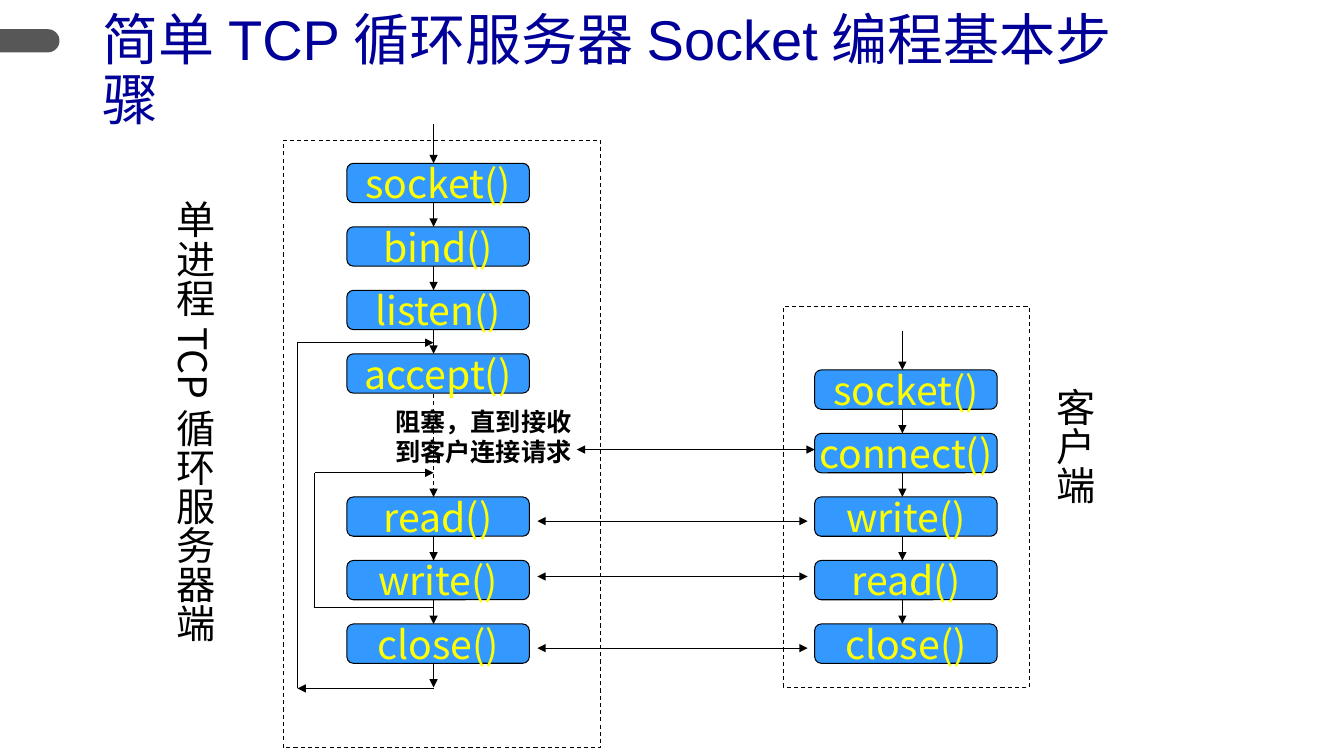
import math

import lxml.etree
import pptx
import pptx.dml.color
import pptx.enum.dml
import pptx.enum.shapes
import pptx.enum.text
import pptx.oxml.ns
import pptx.util

Inches = pptx.util.Inches
qn = pptx.oxml.ns.qn
color = pptx.dml.color.RGBColor.from_string
MSO_SHAPE = pptx.enum.shapes.MSO_SHAPE
PP_ALIGN = pptx.enum.text.PP_ALIGN
MSO_ANCHOR = pptx.enum.text.MSO_ANCHOR
DASH = pptx.enum.dml.MSO_LINE.DASH
CJK_FONT = "Noto Sans CJK SC"


def write_text(shape, text, size=28, font=CJK_FONT, fill="000000", bold=False,
               align=PP_ALIGN.LEFT, anchor=MSO_ANCHOR.TOP, wrap=False, spacing=None, vertical=False):
    frame = shape.text_frame
    frame.text = text
    frame.word_wrap = wrap
    frame.vertical_anchor = anchor
    frame.auto_size = pptx.enum.text.MSO_AUTO_SIZE.NONE
    if vertical:
        frame._txBody.bodyPr.set("vert", "eaVert")
    for paragraph in frame.paragraphs:
        paragraph.alignment = align
        paragraph.line_spacing = spacing
        for run in paragraph.runs:
            run.font.size = pptx.util.Pt(size)
            run.font.name = font
            run.font.bold = bold
            run.font.color.rgb = color(fill)
            east_asian = lxml.etree.SubElement(run._r.get_or_add_rPr(), qn("a:ea"))
            east_asian.set("typeface", CJK_FONT)


def add_line(start, end, head=False, tail=True, dashed=False):
    connector = slide.shapes.add_connector(
        pptx.enum.shapes.MSO_CONNECTOR.STRAIGHT, *map(Inches, start + end))
    connector.line.color.rgb = color("000000")
    connector.line.width = pptx.util.Pt(0.75)
    if dashed:
        connector.line.dash_style = DASH
    outline = connector.line._get_or_add_ln()
    for tag, shown in (("a:headEnd", head), ("a:tailEnd", tail)):
        if shown:
            lxml.etree.SubElement(outline, qn(tag)).set("type", "triangle")
    lxml.etree.SubElement(connector._element.spPr, qn("a:effectLst"))


presentation = pptx.Presentation()
presentation.slide_width = Inches(13.33)
presentation.slide_height = Inches(7.5)
slide = presentation.slides.add_slide(presentation.slide_layouts[5])

title = slide.shapes.title
title.left, title.top, title.width, title.height = map(Inches, (0.92, 0.29, 10.32, 0.86))
write_text(title, "简单TCP循环服务器Socket编程基本步骤", size=40, font="Arial", fill="000099",
           anchor=MSO_ANCHOR.MIDDLE, wrap=True, spacing=0.9)

radius = 0.115
angles = [math.radians(degrees) for degrees in range(-90, 91, 10)]
arc = [(Inches(0.475 + radius * math.cos(angle)), Inches(0.405 + radius * math.sin(angle)))
       for angle in angles]
builder = slide.shapes.build_freeform(0, Inches(0.29), scale=1.0)
builder.add_line_segments(arc + [(0, Inches(0.52))], close=True)
title_bar = builder.convert_to_shape()
title_bar.shadow.inherit = False
title_bar.fill.solid()
title_bar.fill.fore_color.rgb = color("575757")
title_bar.line.fill.background()

for bounds in ((2.81, 1.39, 3.15, 6.03), (7.77, 3.04, 2.44, 3.78)):
    frame_box = slide.shapes.add_shape(MSO_SHAPE.RECTANGLE, *map(Inches, bounds))
    frame_box.shadow.inherit = False
    frame_box.fill.background()
    frame_box.line.color.rgb = color("000000")
    frame_box.line.width = pptx.util.Pt(0.75)
    frame_box.line.dash_style = DASH

box_width, box_height, pitch = 1.81, 0.39, 0.63
server_x, client_x = 4.3, 8.95
call_groups = (
    (3.44, server_x, 1.62, ("socket()", "bind()", "listen()", "accept()")),
    (3.44, server_x, 4.93, ("read()", "write()", "close()")),
    (8.08, client_x, 3.67, ("socket()", "connect()", "write()", "read()", "close()")),
)
for left, arrow_x, first_top, calls in call_groups:
    for index, call in enumerate(calls):
        top = first_top + index * pitch
        box = slide.shapes.add_shape(MSO_SHAPE.ROUNDED_RECTANGLE, Inches(left), Inches(top),
                                     Inches(box_width), Inches(box_height))
        box.shadow.inherit = False
        box.fill.solid()
        box.fill.fore_color.rgb = color("3399FF")
        box.line.color.rgb = color("000000")
        box.line.width = pptx.util.Pt(0.75)
        write_text(box, call, fill="FFFF00", align=PP_ALIGN.CENTER, anchor=MSO_ANCHOR.MIDDLE)
        if index:
            add_line((arrow_x, top - pitch + box_height), (arrow_x, top))

for arrow_x, top, bottom in ((server_x, 1.23, 1.62), (server_x, 6.59, 6.82), (client_x, 3.28, 3.67)):
    add_line((arrow_x, top), (arrow_x, bottom))
add_line((server_x, 3.91), (server_x, 4.93), dashed=True)

for left, right, y in ((5.72, 8.08, 4.46), (5.33, 8.01, 5.17), (5.33, 8.01, 5.72), (5.33, 8.01, 6.43)):
    add_line((left, y), (right, y), head=True)

for loop_x, top, bottom, arrow_back in ((3.12, 4.69, 6.03, False), (2.95, 3.4, 6.83, True)):
    add_line((loop_x, bottom), (server_x, bottom), head=arrow_back, tail=False)
    add_line((loop_x, bottom), (loop_x, top), tail=False)
    add_line((loop_x, top), (server_x, top))

labels = (
    ((1.54, 1.89, 0.67, 4.34), "单进程TCP循环服务器端", {"vertical": True}),
    ((10.27, 3.75, 0.67, 1.28), "客户端", {"vertical": True}),
    ((3.82, 3.98, 1.97, 0.71), "阻塞，直到接收\n到客户连接请求", {"size": 18, "bold": True}),
)
for bounds, text, text_format in labels:
    label = slide.shapes.add_textbox(*map(Inches, bounds))
    write_text(label, text, **text_format)

presentation.save("out.pptx")
